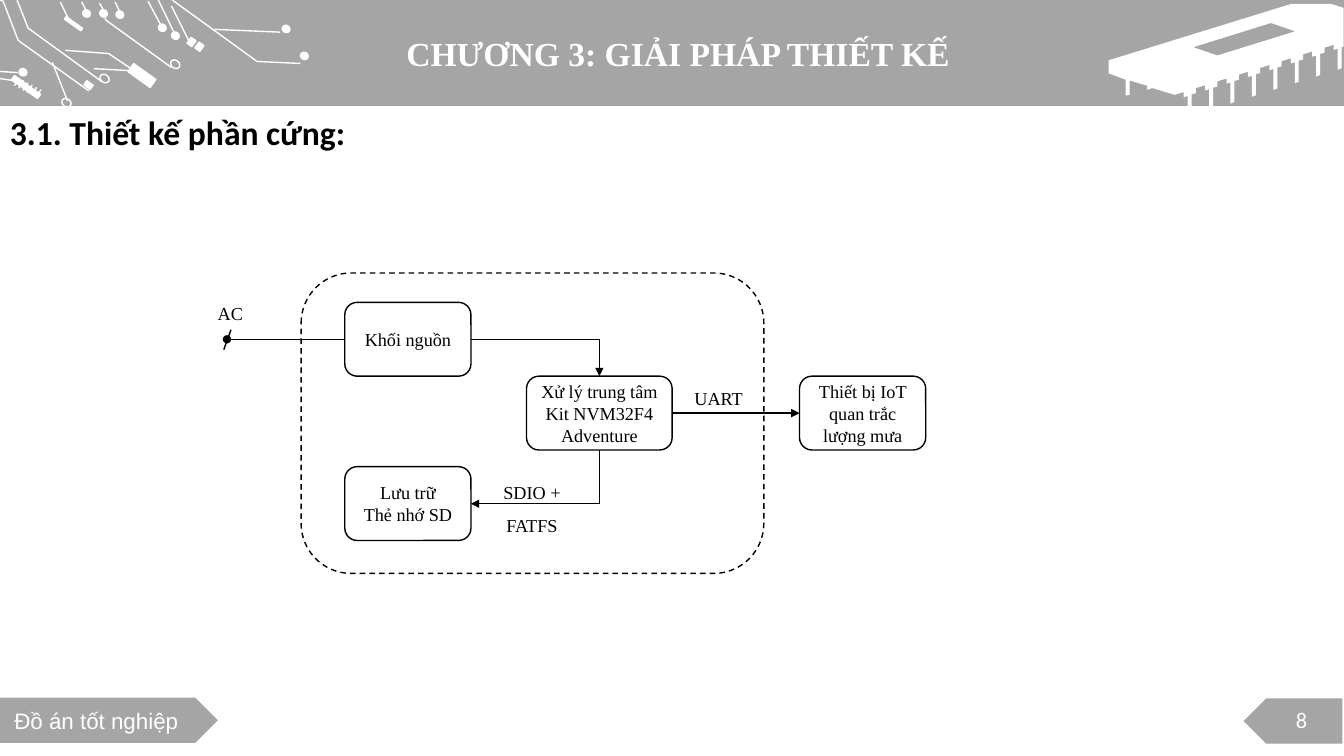
from dataclasses import dataclass

from lxml.etree import SubElement
from pptx import Presentation
from pptx.dml.color import RGBColor
from pptx.enum.dml import MSO_LINE
from pptx.enum.shapes import MSO_CONNECTOR, MSO_SHAPE
from pptx.enum.text import MSO_ANCHOR, MSO_AUTO_SIZE, PP_ALIGN
from pptx.oxml.ns import qn
from pptx.util import Cm, Pt


@dataclass(frozen=True)
class Theme:
    gray: RGBColor = RGBColor(0xA5, 0xA5, 0xA5)
    white: RGBColor = RGBColor(0xFF, 0xFF, 0xFF)
    black: RGBColor = RGBColor(0, 0, 0)
    heading_size: Pt = Pt(24)
    footer_size: Pt = Pt(16)
    diagram_size: Pt = Pt(13)
    line_width: Pt = Pt(1)
    serif: str = "Times New Roman"
    footer_font: str = "Arial"
    body_font: str = "Calibri"


THEME = Theme()
TILT = 35.7
BLOCK_HEIGHT = 1.86
BLOCK_WIDTH = 3.18

DOTS = [(7.57, 1.32), (7.11, 0.64), (2.08, 0.25), (2.51, 0.25),
        (2.92, 0.28), (0.48, 1.73), (4.32, 0.81), (3.99, 0.61)]
RINGS = [(4.29, 1.52), (2.51, 1.88), (1.55, 2.49)]
PADS = [(3.23, 1.78, 0.69, 0.25), (1.6, 0.56, 0.51, 0.08), (2.13, 2.08, 0.2, 0.13),
        (4.75, 0.97, 0.15, 0.18), (4.95, 1.09, 0.15, 0.18), (0.25, 2.13, 0.81, 0.13)]
WIRES = [(1.52, 0.05, 1.75, 0.53), (2.06, 0.05, 2.18, 0.28), (2.51, 0.08, 2.62, 0.28),
         (2.9, 0.05, 3.02, 0.3), (3.73, 0.03, 4.11, 0.74), (3.99, 0, 4.42, 0.89),
         (5.41, 0.74, 7.06, 0.81), (4.32, 0.15, 4.78, 1.07), (0, 1.8, 0.46, 1.83),
         (0, 1.98, 0.33, 2.03), (1.32, 1.57, 1.7, 2.54), (2.36, 1.73, 3.28, 1.78)]
TRACKS = [[(4.34, 0), (6.48, 1.55), (7.57, 1.6)],
          [(0.43, 0), (0.71, 0.71), (2.57, 2.06)],
          [(0, 0), (0.08, 0.03), (0.46, 1.02), (2.24, 2.29)],
          [(1.65, 1.27), (2.74, 1.35), (3.33, 1.75)],
          [(2.62, 0.33), (2.67, 0.51), (4.32, 1.7)]]
CHIP_SLOT = [(32.03, 0.58), (30.07, 1.19), (30.68, 1.4), (32.64, 0.79)]
CHIP_TOP = [(32.54, 0.1), (33.55, 0.1), (33.86, 0.2), (33.86, 1.17)]
CHIP_LEG = [(0, 0), (0, 0.53), (-0.1, 0.57), (-0.1, 0.04),
            (-0.2, 0.07), (-0.2, -0.06), (-0.43, 0.01), (-0.43, 0.14)]
CHIP_END = [(29.01, 2.21), (29.01, 2.24), (28.91, 2.26), (28.91, 2.16), (28.47, 2.03),
            (28.47, 2.39), (28.37, 2.41), (28.37, 2.01), (27.94, 1.85), (27.94, 1.52)]


def lengths(values):
    return [Cm(value) for value in values]


def paint(shape, fill=None, line=None):
    shape.shadow.inherit = False
    if fill is None:
        shape.fill.background()
    else:
        shape.fill.solid()
        shape.fill.fore_color.rgb = fill
    if line is None:
        shape.line.fill.background()
    else:
        shape.line.color.rgb = line
        shape.line.width = THEME.line_width


def write(shape, lines, size, font, color, align, bold=False, spacing=None):
    frame = shape.text_frame
    frame.word_wrap = True
    frame.text = "\n".join(lines)
    for paragraph in frame.paragraphs:
        paragraph.alignment = align
        paragraph.line_spacing = spacing
        paragraph.font.size = size
        paragraph.font.name = font
        paragraph.font.color.rgb = color
        paragraph.font.bold = bold


def add_figure(shapes, preset, box, fill=None, line=None, rotation=0):
    figure = shapes.add_shape(preset, *lengths(box))
    paint(figure, fill, line)
    figure.rotation = rotation
    return figure


def add_outline(shapes, contours, closed, fill=None, line=None):
    first, *others = [[lengths(point) for point in contour] for contour in contours]
    builder = shapes.build_freeform(*first[0])
    builder.add_line_segments(first[1:], close=closed)
    for contour in others:
        builder.move_to(*contour[0])
        builder.add_line_segments(contour[1:], close=closed)
    paint(builder.convert_to_shape(), fill, line)


def add_line(shapes, ends, color, head=None, tail=None, kind=MSO_CONNECTOR.STRAIGHT):
    link = shapes.add_connector(kind, *lengths(ends))
    link.line.color.rgb = color
    link.line.width = THEME.line_width
    stroke = link.line._get_or_add_ln()
    for tag, marker in (("a:headEnd", head), ("a:tailEnd", tail)):
        if marker:
            SubElement(stroke, qn(tag)).set("type", marker)
    SubElement(link._element.spPr, qn("a:effectLst"))
    return link


def add_corner_arrow(shapes, source, source_site, target, target_site, turned=None):
    arrow = add_line(shapes, (0, 0, 1, 1), THEME.black, tail="triangle",
                     kind=MSO_CONNECTOR.ELBOW)
    arrow.begin_connect(source, source_site)
    arrow.end_connect(target, target_site)
    geometry = arrow._element.spPr
    geometry.find(qn("a:prstGeom")).set("prst", "bentConnector2")
    if turned:
        transform = geometry.find(qn("a:xfrm"))
        transform.attrib.pop("flipH", None)
        transform.set("rot", "5400000")
        arrow.left, arrow.top, arrow.width, arrow.height = lengths(turned)


def add_block(shapes, left, top, *lines, width=BLOCK_WIDTH):
    block = add_figure(shapes, MSO_SHAPE.ROUNDED_RECTANGLE,
                       (left, top, width, BLOCK_HEIGHT), line=THEME.black)
    block.text_frame.vertical_anchor = MSO_ANCHOR.MIDDLE
    write(block, lines, THEME.diagram_size, THEME.serif, THEME.black, PP_ALIGN.CENTER)
    return block


def add_label(shapes, box, *lines, spacing=None):
    label = shapes.add_textbox(*lengths(box))
    write(label, lines, THEME.diagram_size, THEME.serif, THEME.black,
          PP_ALIGN.CENTER, spacing=spacing)


def draw_chip(shapes):
    legs = [(33.81 - 0.54 * i + dx, 1.19 + 0.17 * i + dy)
            for i in range(8) for dx, dy in CHIP_LEG]
    body = CHIP_TOP + legs[:-1] + CHIP_END
    add_outline(shapes, [CHIP_SLOT, body], True, fill=THEME.white)


def draw_circuit(shapes):
    white = THEME.white
    for pad in PADS:
        add_figure(shapes, MSO_SHAPE.RECTANGLE, pad, white, white, TILT)
    for dot in DOTS:
        add_figure(shapes, MSO_SHAPE.OVAL, (*dot, 0.2, 0.18), white, white, TILT)
    for ring in RINGS:
        add_figure(shapes, MSO_SHAPE.OVAL, (*ring, 0.25, 0.2), None, white, TILT)
    teeth = [(0.36 + 0.11 * i, 2.16 + 0.06 * i, 0.48 + 0.11 * i, 1.96 + 0.06 * i)
             for i in range(6)]
    for wire in WIRES + teeth:
        add_line(shapes, wire, white)
    for track in TRACKS:
        add_outline(shapes, [track], False, line=white)


def draw_footer(shapes):
    add_figure(shapes, MSO_SHAPE.PENTAGON, (31.34, 17.6, 2.49, 1.14), THEME.gray, rotation=180)
    project = add_figure(shapes, MSO_SHAPE.PENTAGON, (0, 17.58, 5.49, 1.14), THEME.gray)
    project.text_frame.vertical_anchor = MSO_ANCHOR.MIDDLE
    project.text_frame.margin_right = Cm(0.6)
    write(project, ["Đồ án tốt nghiệp"], THEME.footer_size, THEME.footer_font,
          THEME.white, PP_ALIGN.CENTER)
    page = shapes.add_textbox(*lengths((32.41, 17.68, 1.27, 0.94)))
    write(page, ["8"], THEME.footer_size, THEME.body_font, THEME.white, PP_ALIGN.LEFT)


def place_title(slide):
    title = slide.shapes.title
    slide.shapes._spTree.append(title._element)
    title.left, title.top, title.width, title.height = lengths((9.91, 0.61, 15.75, 1.47))
    write(title, ["CHƯƠNG 3: GIẢI PHÁP THIẾT KẾ"], THEME.heading_size, THEME.serif,
          THEME.white, PP_ALIGN.JUSTIFY, bold=True)
    frame = title.text_frame
    frame.auto_size = MSO_AUTO_SIZE.NONE
    frame.vertical_anchor = MSO_ANCHOR.MIDDLE
    frame.margin_left = frame.margin_right = Cm(0.33)


def draw_diagram(shapes):
    enclosure = add_figure(shapes, MSO_SHAPE.ROUNDED_RECTANGLE,
                           (7.59, 6.88, 11.66, 7.57), line=THEME.black)
    enclosure.line.dash_style = MSO_LINE.DASH
    processor = add_block(shapes, 13.27, 9.48, "Xử lý trung tâm", "Kit NVM32F4 Adventure",
                          width=3.67)
    power = add_block(shapes, 8.69, 7.62, "Khối nguồn")
    storage = add_block(shapes, 8.69, 11.76, "Lưu trữ", "Thẻ nhớ SD")
    rain_device = add_block(shapes, 20.15, 9.48, "Thiết bị IoT quan trắc lượng mưa")
    add_corner_arrow(shapes, power, 3, processor, 0)
    add_corner_arrow(shapes, processor, 2, storage, 3, turned=(12.81, 10.4, 1.35, 3.24))
    uart = add_line(shapes, (16.94, 10.41, 20.15, 10.41), THEME.black, tail="triangle")
    uart.begin_connect(processor, 3)
    uart.end_connect(rain_device, 1)
    add_line(shapes, (5.72, 8.55, 8.69, 8.55), THEME.black, head="oval")
    add_line(shapes, (5.64, 8.81, 5.82, 8.31), THEME.black)
    add_label(shapes, (11.4, 11.73, 4.01, 1.83), "SDIO +", "FATFS", spacing=1.5)
    add_label(shapes, (5.21, 7.49, 1.19, 0.81), "AC")
    add_label(shapes, (17.07, 9.37, 2.08, 0.99), "UART", spacing=1.5)


def main():
    deck = Presentation()
    deck.slide_width, deck.slide_height = lengths((33.87, 19.05))
    slide = deck.slides.add_slide(deck.slide_layouts[5])
    shapes = slide.shapes
    draw_footer(shapes)
    add_figure(shapes, MSO_SHAPE.RECTANGLE, (0, 0, 33.87, 2.67), THEME.gray)
    draw_chip(shapes)
    draw_circuit(shapes.add_group_shape().shapes)
    place_title(slide)
    section = shapes.add_textbox(*lengths((0, 2.69, 12.83, 1.27)))
    write(section, ["3.1. Thiết kế phần cứng:"], THEME.heading_size, THEME.body_font,
          THEME.black, PP_ALIGN.LEFT, bold=True)
    draw_diagram(shapes.add_group_shape().shapes)
    deck.save("out.pptx")


if __name__ == "__main__":
    main()
